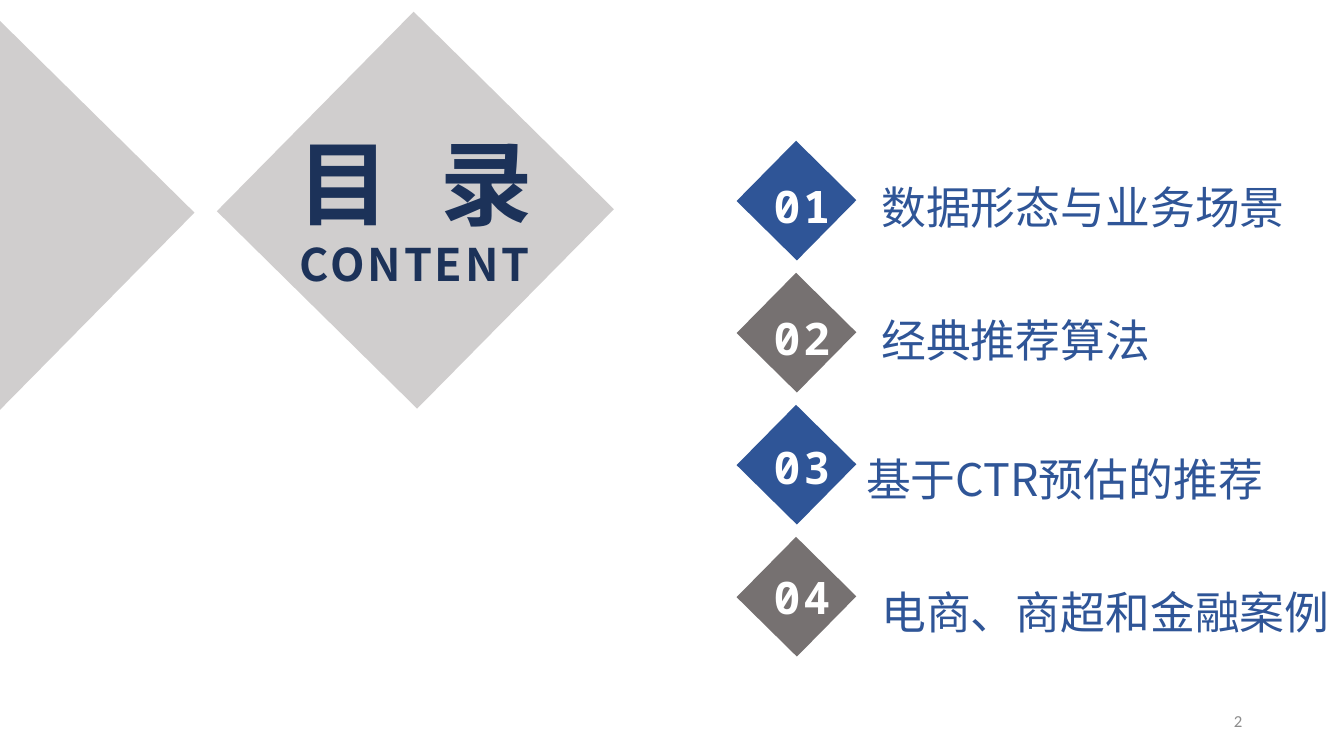
"""Build the contents slide with its numbered diamonds and topic list."""
from dataclasses import dataclass

from lxml.etree import SubElement
from pptx import Presentation
from pptx.dml.color import RGBColor
from pptx.enum.shapes import MSO_SHAPE
from pptx.enum.text import MSO_ANCHOR, MSO_AUTO_SIZE, PP_ALIGN
from pptx.oxml.ns import qn
from pptx.util import Inches, Pt

NAVY = RGBColor(0x1C, 0x32, 0x59)
BLUE = RGBColor(0x2F, 0x55, 0x97)
GRAY = RGBColor(0x76, 0x71, 0x71)
SILVER = RGBColor(0xD0, 0xCE, 0xCE)
PAGE_GRAY = RGBColor(0x8C, 0x8C, 0x8C)
WHITE = RGBColor(0xFF, 0xFF, 0xFF)
CJK = "Noto Sans CJK SC"
MONO = "Noto Sans Mono"
TILT = 314.6
FIRST_TOP = 1.57
PITCH = 1.31


@dataclass
class Diamond:
    left: float
    top: float
    width: float
    height: float
    color: RGBColor


@dataclass
class Topic:
    text: str
    number_top: float
    color: RGBColor
    space_before: int
    indent: float = 0.15


TOPICS = [
    Topic("数据形态与业务场景", 1.72, BLUE, 0),
    Topic("经典推荐算法", 3.03, GRAY, 49),
    Topic("基于CTR预估的推荐", 4.31, BLUE, 53, 0),
    Topic("电商、商超和金融案例", 5.6, GRAY, 49),
]


def place(s, left: float, top: float, width: float, height: float) -> None:
    s.left, s.top = Inches(left), Inches(top)
    s.width, s.height = Inches(width), Inches(height)


def style(r, size: int, color: RGBColor, name: str,
          bold: bool = False, spacing: int = 0) -> None:
    r.font.size = Pt(size)
    r.font.bold = bold
    r.font.color.rgb = color
    r.font.name = name
    rpr = r.font._element
    SubElement(rpr, qn("a:ea")).set("typeface", name)
    if spacing:
        rpr.set("spc", str(spacing * 100))


def clear_margins(tf) -> None:
    tf.margin_left = tf.margin_right = tf.margin_top = tf.margin_bottom = 0
    tf.auto_size = MSO_AUTO_SIZE.NONE
    tf.word_wrap = True


def draw_diamond(slide, d: Diamond) -> None:
    s = slide.shapes.add_shape(
        MSO_SHAPE.RECTANGLE, Inches(d.left), Inches(d.top),
        Inches(d.width), Inches(d.height))
    s.rotation = TILT
    s.shadow.inherit = False
    s.fill.solid()
    s.fill.fore_color.rgb = d.color
    s.line.fill.background()


def draw_title(slide) -> None:
    title = slide.shapes.title
    slide.shapes._spTree.append(title._element)
    place(title, 0.8, 1.24, 6.63, 1.65)
    tf = title.text_frame
    clear_margins(tf)
    tf.vertical_anchor = MSO_ANCHOR.MIDDLE
    p = tf.paragraphs[0]
    for text, spacing in (("目", 2), (" ", 19), ("录", 2)):
        r = p.add_run()
        r.text = text
        style(r, 66, NAVY, CJK, True, spacing)
    p.alignment = PP_ALIGN.CENTER
    p = tf.add_paragraph()
    p.text = "CONTENT"
    p.alignment = PP_ALIGN.CENTER
    style(p.runs[0], 32, NAVY, CJK, True, 2)


def draw_topics(slide) -> None:
    body = slide.placeholders[1]
    place(body, 8.59, 1.68, 4.74, 4.75)
    tf = body.text_frame
    clear_margins(tf)
    tf.vertical_anchor = MSO_ANCHOR.TOP
    tf.text = "\n".join(topic.text for topic in TOPICS)
    for p, topic in zip(tf.paragraphs, TOPICS):
        ppr = p._p.get_or_add_pPr()
        ppr.set("marL", str(Inches(topic.indent)))
        ppr.set("indent", "0")
        SubElement(ppr, qn("a:buNone"))
        p.alignment = PP_ALIGN.LEFT
        p.line_spacing = Pt(46)
        p.space_before = Pt(topic.space_before)
        p.space_after = Pt(0)
        style(p.runs[0], 32, BLUE, CJK)


def draw_number(slide, number: int, top: float) -> None:
    s = slide.shapes.add_textbox(
        Inches(7.5), Inches(top), Inches(0.91), Inches(0.64))
    tf = s.text_frame
    tf.word_wrap = False
    tf.text = f"{number:02d}"
    p = tf.paragraphs[0]
    p.alignment = PP_ALIGN.CENTER
    style(p.runs[0], 32, WHITE, MONO, True, 2)


def draw_page_number(slide) -> None:
    s = slide.shapes.add_textbox(
        Inches(9.42), Inches(6.95), Inches(3), Inches(0.4))
    tf = s.text_frame
    tf.word_wrap = True
    tf.vertical_anchor = MSO_ANCHOR.MIDDLE
    tf.text = "2"
    p = tf.paragraphs[0]
    p.alignment = PP_ALIGN.RIGHT
    style(p.runs[0], 12, PAGE_GRAY, "Calibri")


def main() -> None:
    prs = Presentation()
    prs.slide_width, prs.slide_height = Inches(13.33), Inches(7.5)
    slide = prs.slides.add_slide(prs.slide_layouts[1])
    draw_diamond(slide, Diamond(2.73, 0.69, 2.78, 2.79, SILVER))
    draw_diamond(slide, Diamond(-1.49, 0.7, 2.83, 2.84, SILVER))
    draw_title(slide)
    draw_topics(slide)
    for i, topic in enumerate(TOPICS):
        top = FIRST_TOP + i * PITCH
        draw_diamond(slide, Diamond(7.48, top, 0.84, 0.84, topic.color))
        draw_number(slide, i + 1, topic.number_top)
    draw_page_number(slide)
    prs.save("out.pptx")


if __name__ == "__main__":
    main()
